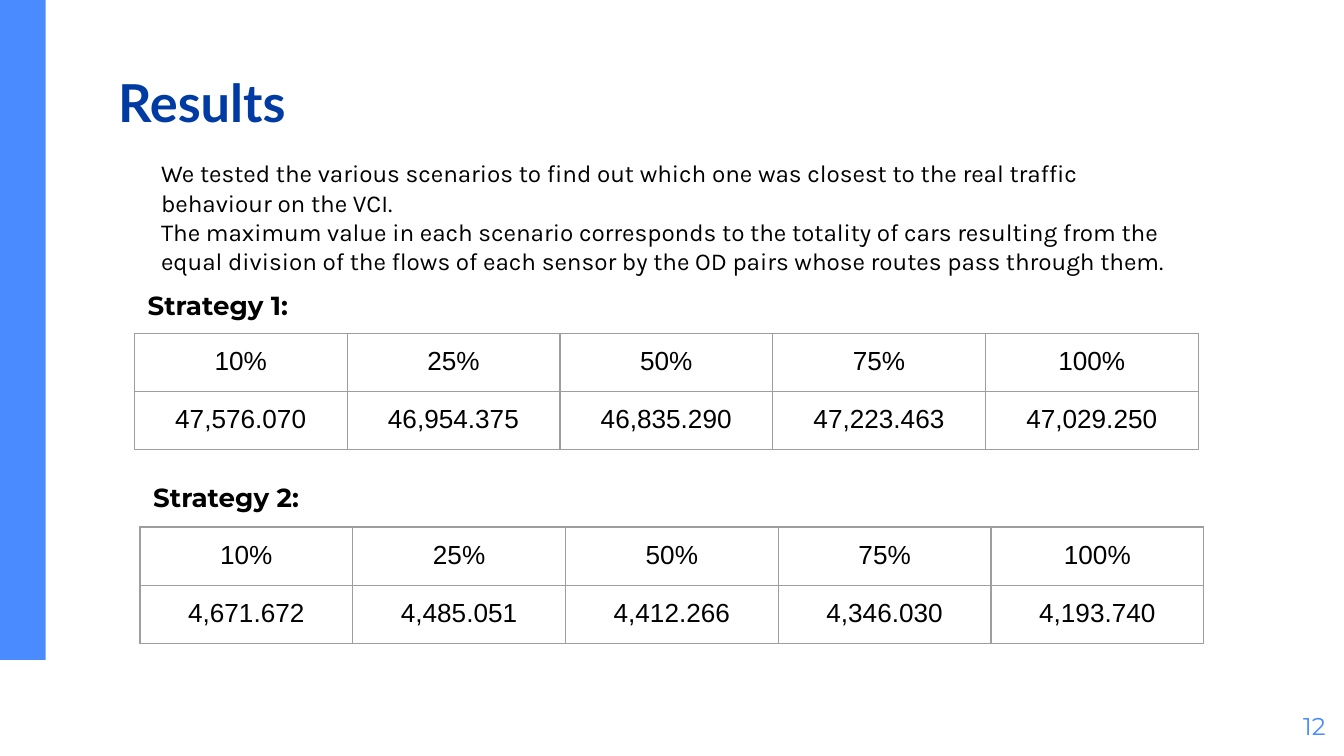
"""Build the results slide with its two strategy tables."""
import lxml.etree
import pptx
import pptx.dml.color
import pptx.enum.shapes
import pptx.enum.text
import pptx.oxml.ns
import pptx.util

Pt = pptx.util.Pt
ALIGN = pptx.enum.text.PP_ALIGN
PAD = Pt(7.2)
BLUE = "4A8CFF"


def color(code):
    return pptx.dml.color.RGBColor.from_string(code)


def write(frame, lines, size, face, code="000000", bold=False, align=ALIGN.LEFT):
    frame.word_wrap = True
    frame.text = "\n".join(lines)
    for para in frame.paragraphs:
        para.alignment = align
        para.font.size = Pt(size)
        para.font.name = face
        para.font.bold = bold
        para.font.color.rgb = color(code)


deck = pptx.Presentation()
deck.slide_width, deck.slide_height = Pt(720), Pt(405)
slide = deck.slides.add_slide(deck.slide_layouts[6])

bar = slide.shapes.add_shape(
    pptx.enum.shapes.MSO_SHAPE.RECTANGLE, 0, 0, Pt(24.4), Pt(353.5))
bar.shadow.inherit = False
bar.fill.solid()
bar.fill.fore_color.rgb = color(BLUE)
bar.line.fill.background()

intro = [
    "We tested the various scenarios to find out which one was closest to the "
    "real traffic behaviour on the VCI.",
    "The maximum value in each scenario corresponds to the totality of cars "
    "resulting from the equal division of the flows of each sensor by the OD "
    "pairs whose routes pass through them.",
]
texts = [
    ((56.2, 30.2, 607, 45.4), ["Results"], 28, "Lato", "003BA3", True, ALIGN.LEFT),
    ((674, 373.7, 43.2, 31), ["12"], 13, "Montserrat", BLUE, False, ALIGN.RIGHT),
    ((79.2, 77.8, 566, 77.8), intro, 13, "Karla", "000000", False, ALIGN.LEFT),
    ((72, 147.6, 160, 31.7), ["Strategy 1:"], 14, "Montserrat", "000000", True,
     ALIGN.LEFT),
    ((75, 250.9, 160, 31.7), ["Strategy 2:"], 14, "Montserrat", "000000", True,
     ALIGN.LEFT),
]
for place, *style in texts:
    frame = slide.shapes.add_textbox(*map(Pt, place)).text_frame
    frame.margin_left = frame.margin_right = PAD
    frame.margin_top = frame.margin_bottom = PAD
    write(frame, *style)

shares = ["10%", "25%", "50%", "75%", "100%"]
tables = [
    (72, 178.5, ["47,576.070", "46,954.375", "46,835.290", "47,223.463", "47,029.250"]),
    (75, 282.4, ["4,671.672", "4,485.051", "4,412.266", "4,346.030", "4,193.740"]),
]
for left, top, sums in tables:
    grid = slide.shapes.add_table(
        2, len(shares), Pt(left), Pt(top), Pt(570), Pt(60)).table
    grid.first_row = grid.horz_banding = False
    for row, values in enumerate([shares, sums]):
        for col, value in enumerate(values):
            cell = grid.cell(row, col)
            cell.margin_left = cell.margin_right = PAD
            cell.margin_top = cell.margin_bottom = PAD
            write(cell.text_frame, [value], 14, "Arial", align=ALIGN.CENTER)
            props = cell._tc.get_or_add_tcPr()
            for side in "LRTB":
                line = lxml.etree.SubElement(
                    props, pptx.oxml.ns.qn("a:ln" + side), w=str(Pt(0.75)))
                fill = lxml.etree.SubElement(line, pptx.oxml.ns.qn("a:solidFill"))
                lxml.etree.SubElement(
                    fill, pptx.oxml.ns.qn("a:srgbClr"), val="9E9E9E")
            cell.fill.background()

deck.save("out.pptx")
